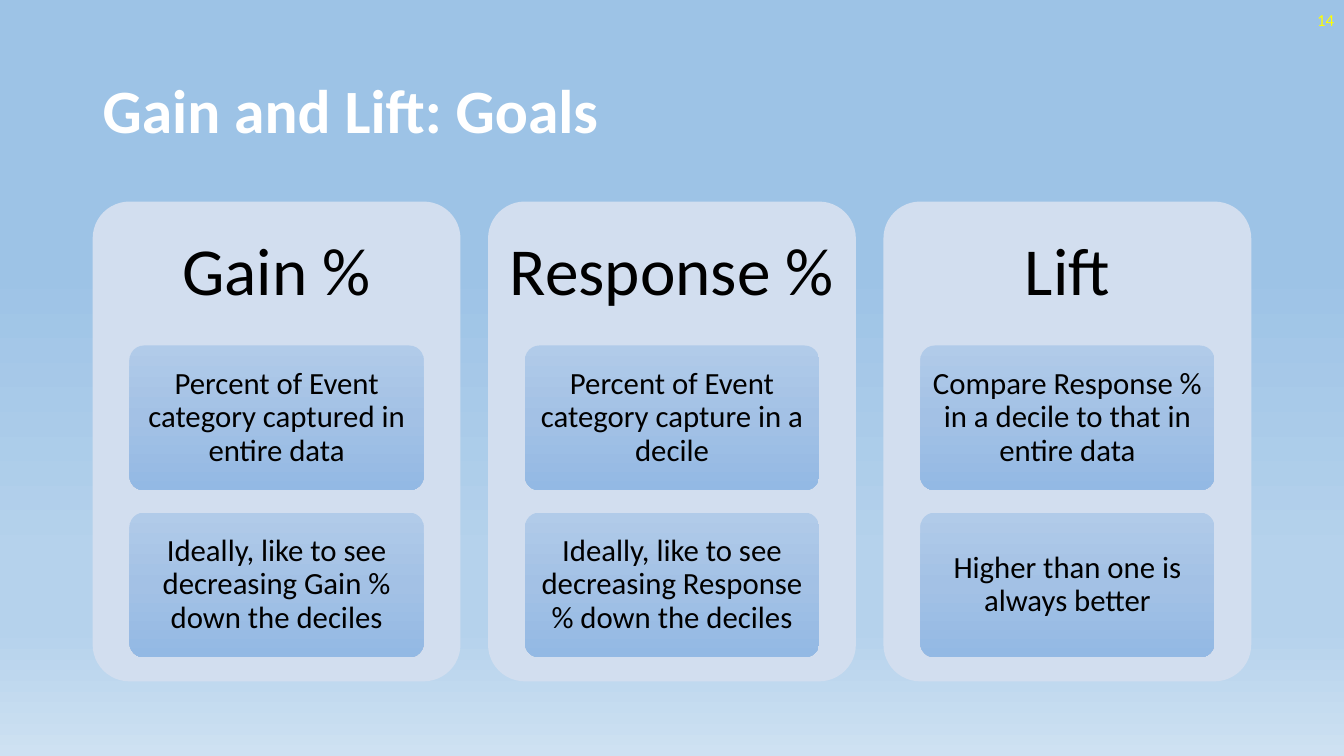
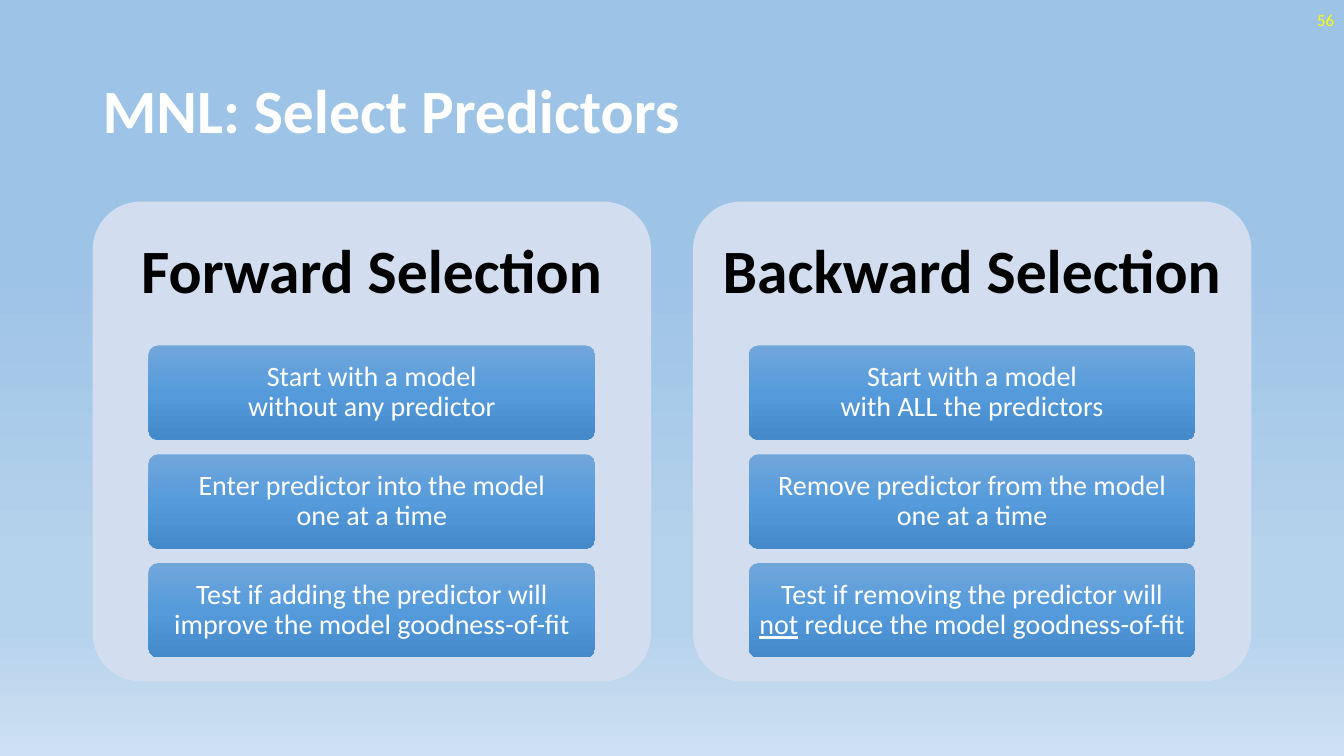
import dataclasses

import lxml.etree
import pptx
import pptx.dml.color
import pptx.enum.shapes
import pptx.enum.text
import pptx.oxml.ns
import pptx.util

ALIGN = pptx.enum.text.PP_ALIGN
MIDDLE = pptx.enum.text.MSO_ANCHOR.MIDDLE
ROUNDED = pptx.enum.shapes.MSO_SHAPE.ROUNDED_RECTANGLE


def rgb(code):
    return pptx.dml.color.RGBColor.from_string(code)


def text_style(size, color, align, inset, bold=False, spacing=0.9):
    return {
        "color": color,
        "font": {"name": "Calibri", "size": pptx.util.Pt(size), "bold": bold},
        "par": {"alignment": align, "line_spacing": spacing},
        "inset": inset,
    }


@dataclasses.dataclass(frozen=True)
class Theme:
    background = ((35, "9DC3E6"), (74, "B5D2EC"), (83, "B5D2EC"), (100, "CEE1F2"))
    panel = "D2DEEF"
    corner = 0.1
    card_fills = {
        "light": ((0, "B1CBE9"), (50, "A3C1E5"), (100, "93B9E4")),
        "strong": ((0, "71A6DB"), (50, "559BDB"), (100, "448ACA")),
    }
    text = {
        "title": text_style(44, "FFFFFF", ALIGN.LEFT, (0.1, 0.05), bold=True),
        "number": text_style(12, "FFFF00", ALIGN.RIGHT, (0.1, 0.05), spacing=1.0),
        "light heading": text_style(48, "000000", ALIGN.CENTER, (0.2, 0.2)),
        "strong heading": text_style(44, "000000", ALIGN.CENTER, (0.18, 0.18), bold=True),
        "light": text_style(22, "000000", ALIGN.CENTER, (0.05, 0.05)),
        "strong": text_style(20, "FFFFFF", ALIGN.CENTER, (0.05, 0.04)),
    }


def set_gradient(fill, element, stops):
    """Fill from top to bottom; element is the XML that holds the fill."""
    fill.gradient()
    fill.gradient_angle = 270
    qn = pptx.oxml.ns.qn
    gs_list = next(element.iter(qn("a:gsLst")))
    for gs in list(gs_list):
        gs_list.remove(gs)
    for percent, color in stops:
        gs = lxml.etree.SubElement(gs_list, qn("a:gs"), pos=str(percent * 1000))
        lxml.etree.SubElement(gs, qn("a:srgbClr"), val=color)


class Deck:
    """Holds the theme and the current slide; lengths are grid columns and rows."""

    COLS, ROWS = 29, 75
    LEFT, WIDTH = 2, 25
    PANEL_TOP, PANEL_HEIGHT = 20, 47.6
    PANEL_GAP = 0.075  # share of a panel's width
    CARD_GAP = 0.154  # share of a card's height

    def __init__(self, theme):
        self.theme = theme
        self.prs = pptx.Presentation()
        self.prs.slide_width = pptx.util.Inches(13.33)
        self.prs.slide_height = pptx.util.Inches(7.5)
        master = self.prs.slide_master
        set_gradient(master.background.fill, master.element, theme.background)

    def new_slide(self, title, number):
        self.s = self.prs.slides.add_slide(self.prs.slide_layouts[6])
        self.label(title, "title", self.LEFT, 4, self.WIDTH, 14.5)
        self.label(number, "number", 22.5, 0, 6.5, 4)

    def place(self, x, y, w, h):
        col = self.prs.slide_width / self.COLS
        row = self.prs.slide_height / self.ROWS
        return [round(v) for v in (x * col, y * row, w * col, h * row)]

    def put_text(self, sp, text, style_name):
        """A newline breaks the line, a pair of underscores underlines."""
        style = self.theme.text[style_name]
        across, down = (pptx.util.Inches(v) for v in style["inset"])
        tf = sp.text_frame
        frame = {"word_wrap": True, "vertical_anchor": MIDDLE,
                 "margin_left": across, "margin_right": across,
                 "margin_top": down, "margin_bottom": down}
        p = tf.paragraphs[0]
        for target, values in ((tf, frame), (p, style["par"])):
            for name, value in values.items():
                setattr(target, name, value)
        for n, line in enumerate(text.split("\n")):
            if n:
                p.add_line_break()
            for i, part in enumerate(line.split("_")):
                if not part:
                    continue
                r = p.add_run()
                r.text = part
                for name, value in style["font"].items():
                    setattr(r.font, name, value)
                r.font.color.rgb = rgb(style["color"])
                if i % 2:
                    r.font.underline = True

    def label(self, text, style_name, *box):
        sp = self.s.shapes.add_textbox(*self.place(*box))
        self.put_text(sp, text, style_name)

    def rounded(self, *box):
        sp = self.s.shapes.add_shape(ROUNDED, *self.place(*box))
        sp.adjustments[0] = self.theme.corner
        sp.shadow.inherit = False
        sp.line.fill.background()
        return sp

    def card(self, text, look, *box):
        sp = self.rounded(*box)
        set_gradient(sp.fill, sp.element, self.theme.card_fills[look])
        self.put_text(sp, text, look)

    def panel(self, heading, cards, look, x, w):
        """Heading in the top 30 %, cards in the next 65 % of the panel."""
        top, height = self.PANEL_TOP, self.PANEL_HEIGHT
        sp = self.rounded(x, top, w, height)
        sp.fill.solid()
        sp.fill.fore_color.rgb = rgb(self.theme.panel)
        self.label(heading, look + " heading", x, top, w, 0.3 * height)
        n = len(cards)
        h = 0.65 * height / (n + (n - 1) * self.CARD_GAP)
        for i, text in enumerate(cards):
            y = top + 0.3 * height + i * h * (1 + self.CARD_GAP)
            self.card(text, look, x + 0.1 * w, y, 0.8 * w, h)

    def panels(self, content, look):
        n = len(content)
        w = self.WIDTH / (n + (n - 1) * self.PANEL_GAP)
        for i, (heading, cards) in enumerate(content.items()):
            self.panel(heading, cards, look, self.LEFT + i * w * (1 + self.PANEL_GAP), w)


GOALS = {
    "Gain %": ["Percent of Event category captured in entire data",
               "Ideally, like to see decreasing Gain % down the deciles"],
    "Response %": ["Percent of Event category capture in a decile",
                   "Ideally, like to see decreasing Response % down the deciles"],
    "Lift": ["Compare Response % in a decile to that in entire data",
             "Higher than one is always better"],
}

SELECTION = {
    "Forward Selection": [
        "Start with a model\nwithout any predictor",
        "Enter predictor into the model\none at a time",
        "Test if adding the predictor will\nimprove the model goodness-of-fit",
    ],
    "Backward Selection": [
        "Start with a model\nwith ALL the predictors",
        "Remove predictor from the model\none at a time",
        "Test if removing the predictor will\n_not_ reduce the model goodness-of-fit",
    ],
}


def main():
    deck = Deck(Theme())
    deck.new_slide("Gain and Lift: Goals", "14")
    deck.panels(GOALS, "light")
    deck.new_slide("MNL: Select Predictors", "56")
    deck.panels(SELECTION, "strong")
    deck.prs.save("out.pptx")


if __name__ == "__main__":
    main()
